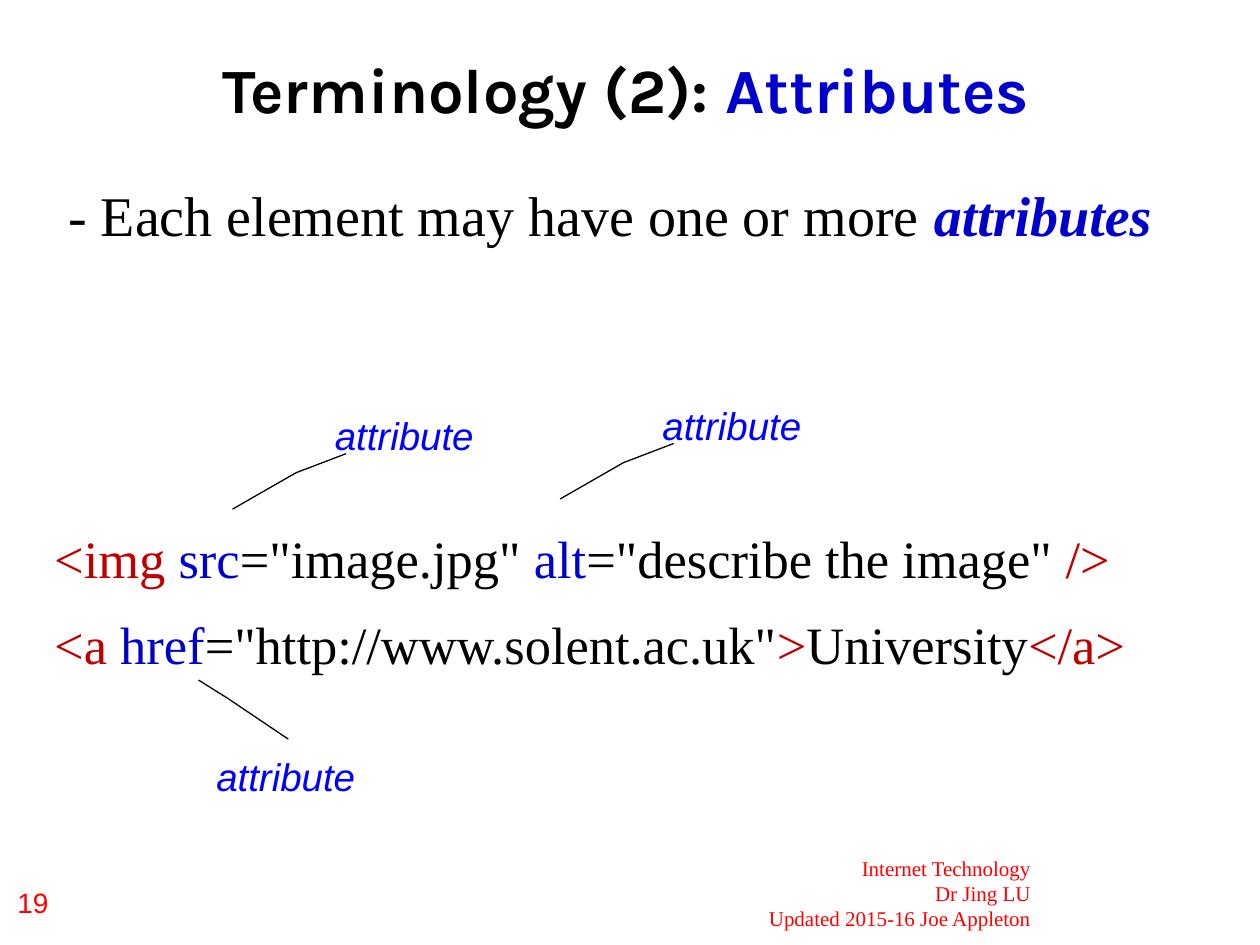
import pptx
import pptx.dml.color
import pptx.enum.shapes
import pptx.enum.text
import pptx.util

Pt = pptx.util.Pt
ALIGN = pptx.enum.text.PP_ALIGN
BLACK, RED, BLUE = "000000", "C00000", "0000CC"
SERIF, SANS, HEADING = "Times New Roman", "Arial", "Karla"


def rgb(value):
    return pptx.dml.color.RGBColor.from_string(value)


class AttributeSlide:
    def __init__(self, deck):
        self.page = deck.slides.add_slide(deck.slide_layouts[5])

    def frame(self, box, insets):
        """Prepare a text frame; insets are left, top, right, bottom."""
        frame = box.text_frame
        frame.word_wrap = True
        frame.auto_size = pptx.enum.text.MSO_AUTO_SIZE.NONE
        frame.vertical_anchor = pptx.enum.text.MSO_ANCHOR.TOP
        (frame.margin_left, frame.margin_top,
         frame.margin_right, frame.margin_bottom) = map(Pt, insets)
        return frame

    def spans(self, para, parts, font, size, bold=False, italic=False):
        """Fill a paragraph with (text, colour) parts."""
        for text, colour in parts:
            span = para.add_run()
            span.text = text
            span.font.name = font
            span.font.size = Pt(size)
            span.font.bold = bold
            span.font.italic = italic
            span.font.color.rgb = rgb(colour)

    def title(self, parts, left, top, width, height):
        box = self.page.shapes.title
        box.left, box.top = Pt(left), Pt(top)
        box.width, box.height = Pt(width), Pt(height)
        para = self.frame(box, (0, 3, 0, 0)).paragraphs[0]
        para.alignment = ALIGN.CENTER
        self.spans(para, parts, HEADING, 36, bold=True)

    def text(self, lines, left, top, width, height, font, size,
             align=ALIGN.LEFT, insets=(7.2, 3.6, 7.2, 3.6)):
        """Add a box with one paragraph for each list of parts."""
        box = self.page.shapes.add_textbox(Pt(left), Pt(top), Pt(width), Pt(height))
        frame = self.frame(box, insets)
        for number, parts in enumerate(lines):
            para = frame.add_paragraph() if number else frame.paragraphs[0]
            para.alignment = align
            self.spans(para, parts, font, size)
        return frame

    def callout(self, label, left, top, leader):
        box = self.page.shapes.add_shape(
            pptx.enum.shapes.MSO_SHAPE.LINE_CALLOUT_2_NO_BORDER,
            Pt(left), Pt(top), Pt(151), Pt(26))
        for number, value in enumerate(leader):
            box.adjustments[number] = value
        box.shadow.inherit = False
        box.fill.background()
        box.line.color.rgb = rgb(BLACK)
        box.line.width = Pt(0.75)
        para = self.frame(box, (7.2, 5, 7.2, 0)).paragraphs[0]
        para.alignment = ALIGN.CENTER
        self.spans(para, [(label, "0000FF")], SANS, 22, italic=True)


def main():
    deck = pptx.Presentation()
    deck.slide_width, deck.slide_height = Pt(720), Pt(540)
    slide = AttributeSlide(deck)

    slide.title([("Terminology (2): ", BLACK), ("Attributes", BLUE)], 8.6, 26, 698, 57)

    footer = ["Internet Technology", "Dr Jing LU", "Updated 2015-16 Joe Appleton"]
    slide.text([[(line, "FF0000")] for line in footer],
               314.6, 485.3, 281.5, 51, SERIF, 12, ALIGN.RIGHT)
    slide.text([[("19", "FF0000")]], 2.9, 502.6, 32.4, 46, SANS, 16)

    body = slide.text([
        [(" - Each element may have one or more ", BLACK), ("attributes", BLUE)],
        [("<img ", RED), ("src", BLUE), ('="image.jpg" ', BLACK), ("alt", BLUE),
         ('="describe the image" ', BLACK), ("/>", RED)],
        [("<a ", RED), ("href", BLUE), ('="http://www.solent.ac.uk"', BLACK),
         (">", RED), ("University", BLACK), ("</a>", RED)],
    ], 31, 100, 689, 368.6, SERIF, 30, insets=(0, 3, 0, 0))
    statement, image_code, link_code = body.paragraphs
    for span in statement.runs:
        span.font.size = Pt(32)
    keyword = statement.runs[-1].font
    keyword.bold = keyword.italic = True
    image_code.space_before = Pt(159)
    link_code.space_before = Pt(13.3)

    leader_down = (1.11, 0.28, 1.53, 0.09, 2.33, -0.15)
    leader_up = (-0.12, 0.51, -1.02, 0.28, -1.42, 0.17)
    slide.callout("attribute", 87.8, 425.5, leader_up)
    slide.callout("attribute", 155.5, 230.4, leader_down)
    slide.callout("attribute", 342.7, 224.6, leader_down)

    deck.save("out.pptx")


if __name__ == "__main__":
    main()
